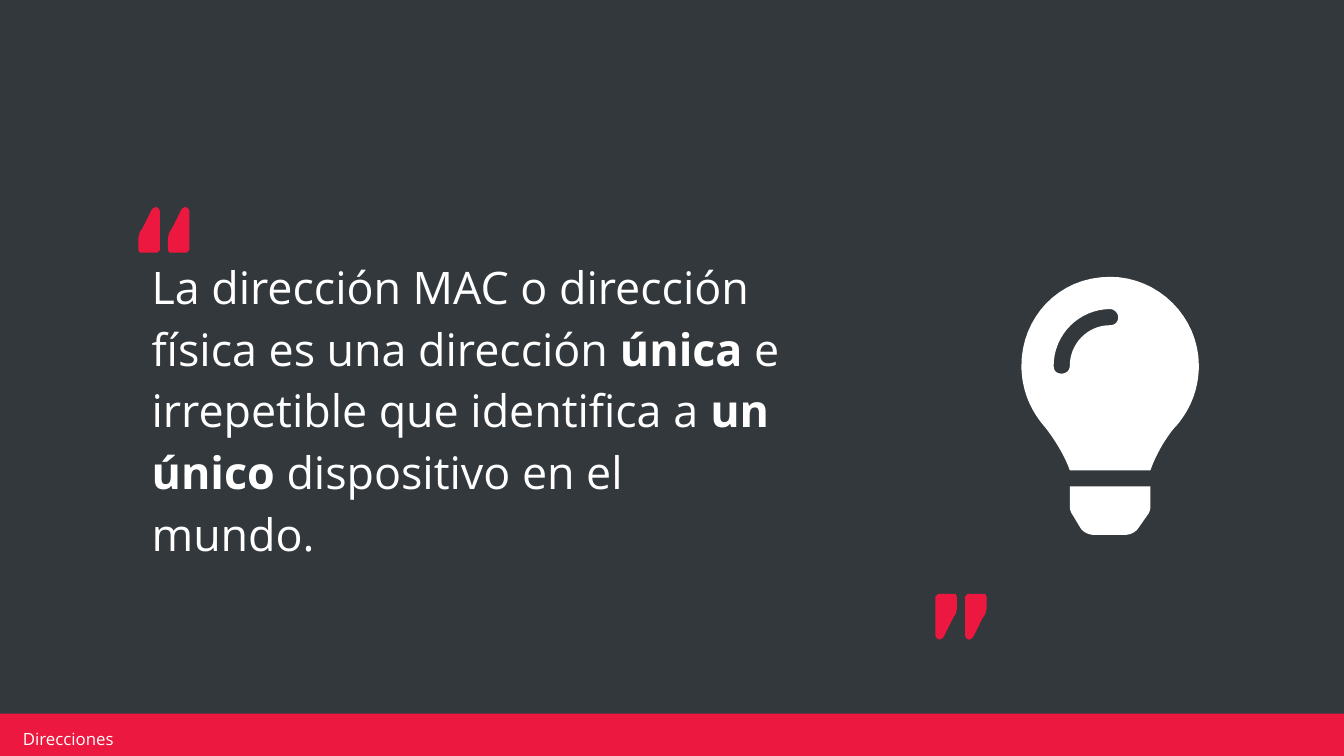
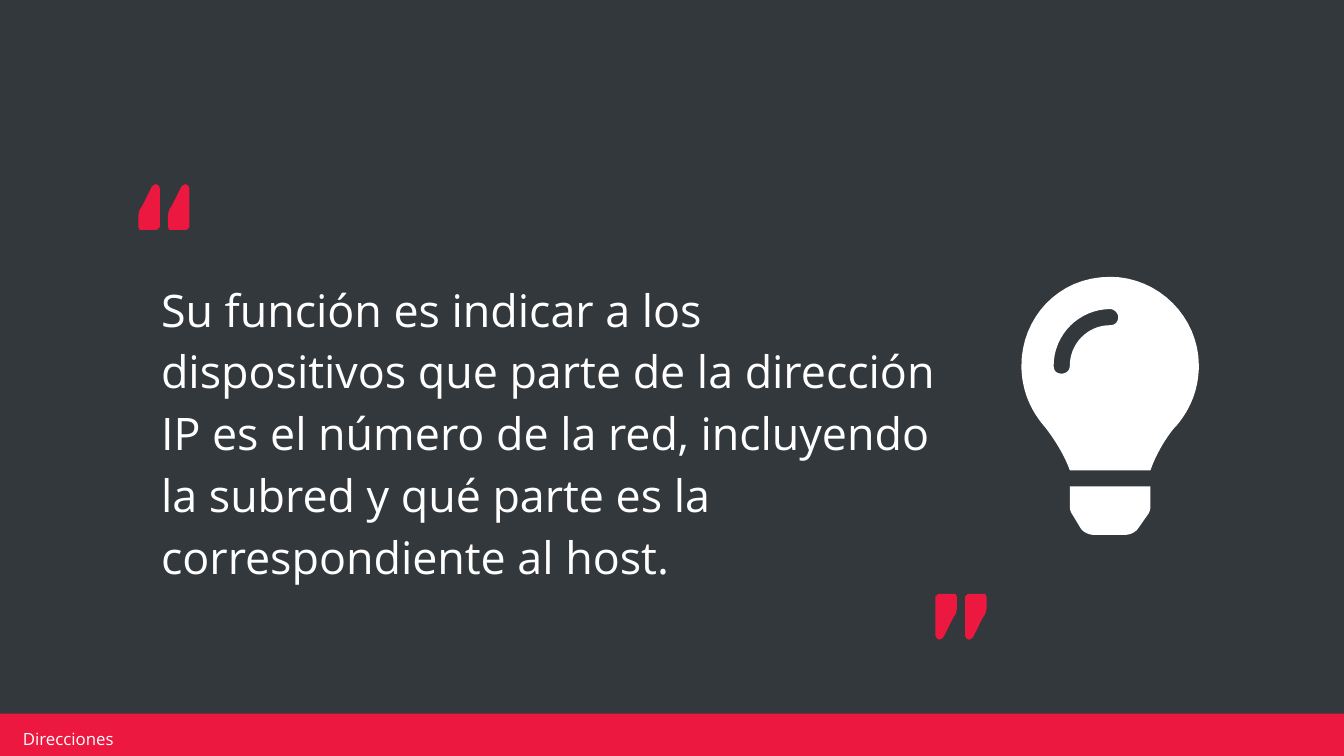
from pptx import Presentation
from pptx.dml.color import RGBColor
from pptx.enum.shapes import MSO_SHAPE
from pptx.enum.text import MSO_ANCHOR
from pptx.util import Inches, Pt

FONT = "Open Sans"
DARK = RGBColor(0x33, 0x38, 0x3C)
RED = RGBColor(0xEC, 0x18, 0x3F)
WHITE = RGBColor(0xFF, 0xFF, 0xFF)

FOOTER = "Direcciones"
QUOTES = [
    {
        "runs": [
            ("La dirección MAC o dirección física es una dirección ", False),
            ("única", True),
            (" e irrepetible que identifica a ", False),
            ("un único", True),
            (" dispositivo en el mundo.", False),
        ],
        "box": (1.03, 1.91, 4.94, 2.22),
        "open": (1.03, 1.54),
    },
    {
        "runs": [
            ("Su función es indicar a los dispositivos que parte de la dirección "
             "IP es el número de la red, incluyendo la subred y qué parte es la "
             "correspondiente al host.", False),
        ],
        "box": (1.1, 2.08, 6.05, 2.22),
        "open": (1.03, 1.37),
    },
]
CLOSE = (6.96, 4.42)
PITCH = 0.22

MARK = [
    (0.13, 0), (0.11, 0.01), (0.1, 0.02), (0.03, 0.16), (0.01, 0.19),
    (0, 0.23), (0, 0.32), (0.01, 0.34), (0.14, 0.34),
    (0.16, 0.32), (0.16, 0.03), (0.15, 0.01),
]

BASE = [
    (7.96, 3.77), (7.96, 3.79, 7.97, 3.82, 7.98, 3.83), (8.04, 3.93),
    (8.06, 3.96, 8.1, 3.98, 8.14, 3.98), (8.37, 3.98),
    (8.41, 3.98, 8.45, 3.96, 8.47, 3.93), (8.54, 3.83),
    (8.55, 3.82, 8.56, 3.79, 8.56, 3.77), (8.56, 3.62), (7.96, 3.62),
]
GLASS = [
    (7.6, 2.72), (7.6, 2.89, 7.66, 3.04, 7.76, 3.16),
    (7.82, 3.23, 7.92, 3.38, 7.96, 3.5), (8.56, 3.5),
    (8.6, 3.38, 8.69, 3.23, 8.76, 3.16),
    (8.86, 3.04, 8.92, 2.89, 8.92, 2.72),
    (8.92, 2.36, 8.62, 2.06, 8.26, 2.06),
    (7.87, 2.06, 7.6, 2.37, 7.6, 2.72),
]
GLARE = [
    (8.26, 2.42), (8.09, 2.42, 7.96, 2.56, 7.96, 2.72),
    (7.96, 2.76, 7.93, 2.78, 7.9, 2.78),
    (7.86, 2.78, 7.84, 2.76, 7.84, 2.72),
    (7.84, 2.49, 8.03, 2.3, 8.26, 2.3),
    (8.29, 2.3, 8.32, 2.33, 8.32, 2.36),
    (8.32, 2.4, 8.29, 2.42, 8.26, 2.42),
]


def trace(steps, cuts=16):
    points = [steps[0]]
    for step in steps[1:]:
        if len(step) == 2:
            points.append(step)
            continue
        nodes = [points[-1], step[:2], step[2:4], step[4:]]
        for cut in range(1, cuts + 1):
            t = cut / cuts
            parts = ((1 - t) ** 3, 3 * t * (1 - t) ** 2, 3 * t * t * (1 - t), t ** 3)
            points.append(tuple(
                sum(part * node[axis] for part, node in zip(parts, nodes))
                for axis in (0, 1)
            ))
    return points


def paint(shape, color):
    shape.shadow.inherit = False
    shape.fill.solid()
    shape.fill.fore_color.rgb = color
    shape.line.fill.background()
    return shape


def draw(slide, rings, color):
    rings = [[(Inches(x), Inches(y)) for x, y in ring] for ring in rings]
    pen = slide.shapes.build_freeform(*rings[0][0], scale=1.0)
    for index, ring in enumerate(rings):
        if index:
            pen.move_to(*ring[0])
        pen.add_line_segments(ring[1:], close=True)
    return paint(pen.convert_to_shape(), color)


def add_text(slide, runs, box, size=24, color=WHITE, inset=(0.1, 0.05), space=None):
    frame = slide.shapes.add_textbox(*map(Inches, box)).text_frame
    frame.word_wrap = True
    frame.vertical_anchor = MSO_ANCHOR.MIDDLE
    frame.margin_left = frame.margin_right = Inches(inset[0])
    frame.margin_top = frame.margin_bottom = Inches(inset[1])
    para = frame.paragraphs[0]
    para.line_spacing = space
    for text, bold in runs:
        run = para.add_run()
        run.text = text
        run.font.name = FONT
        run.font.size = Pt(size)
        run.font.bold = bold
        run.font.color.rgb = color


def add_marks(slide, spot, turn=0):
    left, top = spot
    marks = []
    for shift in (0, PITCH):
        ring = [(left + shift + x, top + y) for x, y in MARK]
        mark = draw(slide, [ring], RED)
        mark.rotation = turn
        marks.append(mark)
    slide.shapes.add_group_shape(marks)


def add_footer(slide):
    box = map(Inches, (-0.02, 5.31, 10.03, 0.36))
    paint(slide.shapes.add_shape(MSO_SHAPE.RECTANGLE, *box), RED)
    add_text(slide, [(FOOTER, False)], (0.12, 5.42, 2.39, 0.15),
             size=9, inset=(0.05, 0.02))


def add_quote(deck, quote):
    slide = deck.slides.add_slide(deck.slide_layouts[6])
    add_footer(slide)
    add_text(slide, quote["runs"], quote["box"], space=1.15)
    draw(slide, [trace(steps) for steps in (BASE, GLASS, GLARE)], WHITE)
    add_marks(slide, quote["open"])
    add_marks(slide, CLOSE, turn=180)


def main():
    deck = Presentation()
    deck.slide_width = Inches(10)
    deck.slide_height = Inches(10) * 9 // 16
    back = deck.slide_master.background.fill
    back.solid()
    back.fore_color.rgb = DARK
    for quote in QUOTES:
        add_quote(deck, quote)
    deck.save("out.pptx")


if __name__ == "__main__":
    main()
